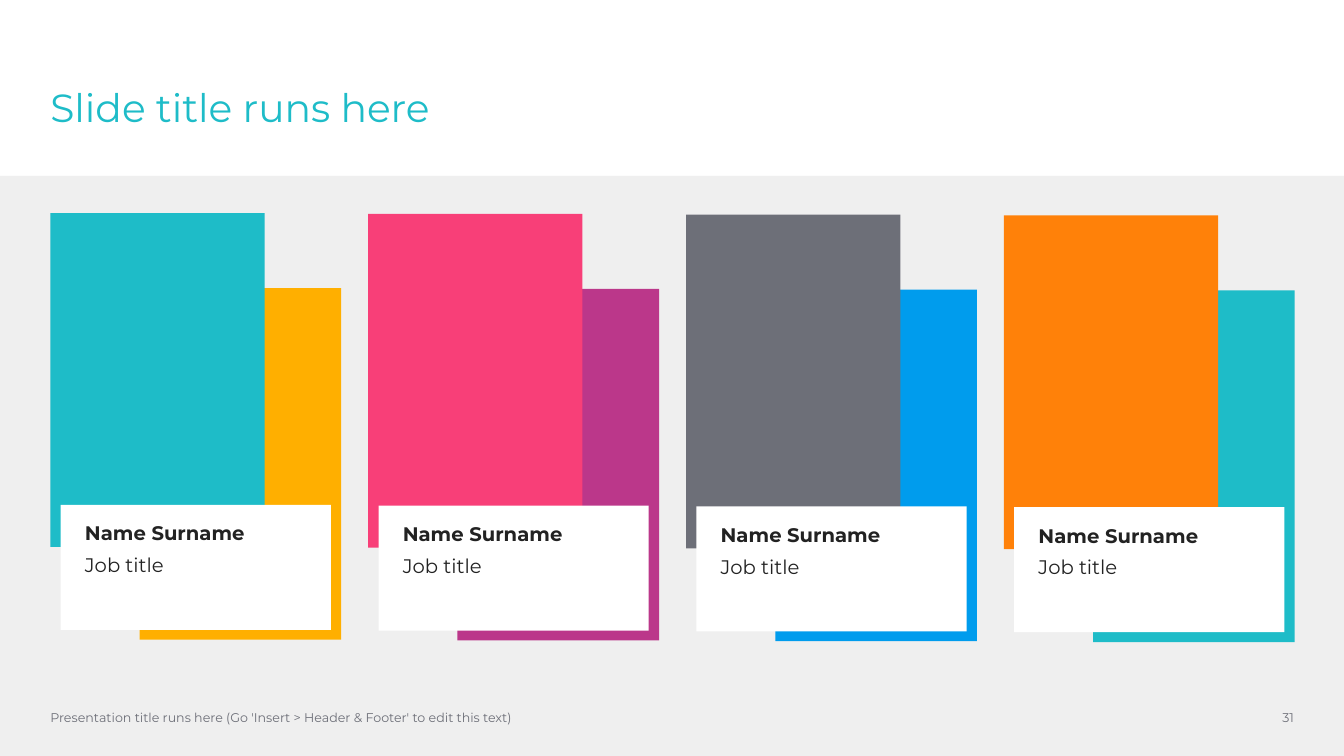
from pptx import Presentation, util as u
from pptx.dml.color import RGBColor
from pptx.enum import shapes, text
from pptx.oxml.ns import qn
from lxml import etree

TEAL = RGBColor(0x1E, 0xBC, 0xC8)
AMBER = RGBColor(0xFF, 0xAF, 0x00)
PINK = RGBColor(0xF8, 0x3F, 0x78)
PURPLE = RGBColor(0xBB, 0x37, 0x8A)
GREY = RGBColor(0x6D, 0x6F, 0x78)
BLUE = RGBColor(0x00, 0x9C, 0xED)
ORANGE = RGBColor(0xFF, 0x81, 0x09)
PALE = RGBColor(0xEF, 0xEF, 0xEF)
WHITE = RGBColor(0xFF, 0xFF, 0xFF)
INK = RGBColor(0x22, 0x22, 0x22)

MARGIN = 1.27
MEMBER_PITCH = 8.01
MEMBER_DROP = 0.02
MEMBERS = [
    ("Name Surname", "Job title", TEAL, AMBER),
    ("Name Surname", "Job title", PINK, PURPLE),
    ("Name Surname", "Job title", GREY, BLUE),
    ("Name Surname", "Job title", ORANGE, TEAL),
]


class TeamPage:
    """Holds the style and the current slide."""
    font = "Montserrat"

    def __init__(self, deck, layout):
        self.page = deck.slides.add_slide(layout)
        self.bodies = [holder for holder in self.page.placeholders
                       if holder.placeholder_format.idx in (1, 2, 3, 4)]

    def style(self, para, size, color, bold=False):
        para.line_spacing = 1.0
        for span in para.runs:
            span.font.name = self.font
            span.font.size = u.Pt(size)
            span.font.color.rgb = color
            span.font.bold = bold

    def frame(self, box, insets=(0, 0, 0, 0), anchor=text.MSO_ANCHOR.TOP):
        frame = box.text_frame
        frame.word_wrap = True
        frame.auto_size = text.MSO_AUTO_SIZE.NONE
        frame.vertical_anchor = anchor
        (frame.margin_left, frame.margin_top,
         frame.margin_right, frame.margin_bottom) = map(u.Cm, insets)
        return frame

    def place(self, holder, left, top, width, height):
        holder.left, holder.top = u.Cm(left), u.Cm(top)
        holder.width, holder.height = u.Cm(width), u.Cm(height)
        # Bring the placeholder in front of the blocks drawn so far
        holder.element.getparent().append(holder.element)

    def block(self, left, top, width, height, color):
        box = self.page.shapes.add_shape(
            shapes.MSO_SHAPE.RECTANGLE,
            u.Cm(left), u.Cm(top), u.Cm(width), u.Cm(height))
        box.shadow.inherit = False
        box.fill.solid()
        box.fill.fore_color.rgb = color
        box.line.fill.background()

    def title(self, words):
        holder = self.page.shapes.title
        self.place(holder, MARGIN, 2.24, 29.31, 3.15)
        frame = self.frame(holder)
        frame.text = words
        para = frame.paragraphs[0]
        para.alignment = text.PP_ALIGN.LEFT
        self.style(para, 28, TEAL)
        para.line_spacing = 0.9

    def card(self, holder, left, top, name, job):
        self.place(holder, left, top, 6.81, 3.15)
        holder.fill.solid()
        holder.fill.fore_color.rgb = WHITE
        frame = self.frame(holder, (0.61, 0.41, 0.41, 0))
        frame.text = f"{name}\n{job}"
        for level, para in enumerate(frame.paragraphs):
            para.level = level
            props = para._p.get_or_add_pPr()
            props.set("marL", "0")
            props.set("indent", "0")
            etree.SubElement(props, qn("a:buNone"))
            para.space_before = u.Pt(6 * level)
            self.style(para, 14, INK, bold=level == 0)

    def footer(self, words, left, width, align):
        box = self.page.shapes.add_textbox(
            u.Cm(left), u.Cm(17.75), u.Cm(width), u.Cm(0.64))
        frame = self.frame(box, anchor=text.MSO_ANCHOR.MIDDLE)
        frame.text = words
        frame.paragraphs[0].alignment = align
        self.style(frame.paragraphs[0], 9, GREY)


def main():
    deck = Presentation()
    deck.slide_width, deck.slide_height = u.Cm(33.87), u.Cm(19.05)
    # The Comparison layout offers a title and four bodies
    team = TeamPage(deck, deck.slide_layouts.get_by_name("Comparison"))

    # Background band and title
    team.block(0, 4.43, 33.87, 14.62, PALE)
    team.title("Slide title runs here")

    # Team members: backdrop, portrait block and name card
    for i, (name, job, portrait, backdrop) in enumerate(MEMBERS):
        left, drop = MARGIN + i * MEMBER_PITCH, i * MEMBER_DROP
        team.block(left + 2.25, 7.26 + drop, 5.08, 8.86, backdrop)
        team.block(left, 5.37 + drop, 5.4, 8.41, portrait)
        team.card(team.bodies[i], left + 0.26, 12.72 + drop, name, job)

    # Footer and page number
    team.footer("Presentation title runs here "
                "(Go 'Insert > Header & Footer' to edit this text)",
                MARGIN, 23.14, text.PP_ALIGN.LEFT)
    team.footer("31", 30.58, 2.03, text.PP_ALIGN.RIGHT)

    deck.save("out.pptx")


if __name__ == "__main__":
    main()
